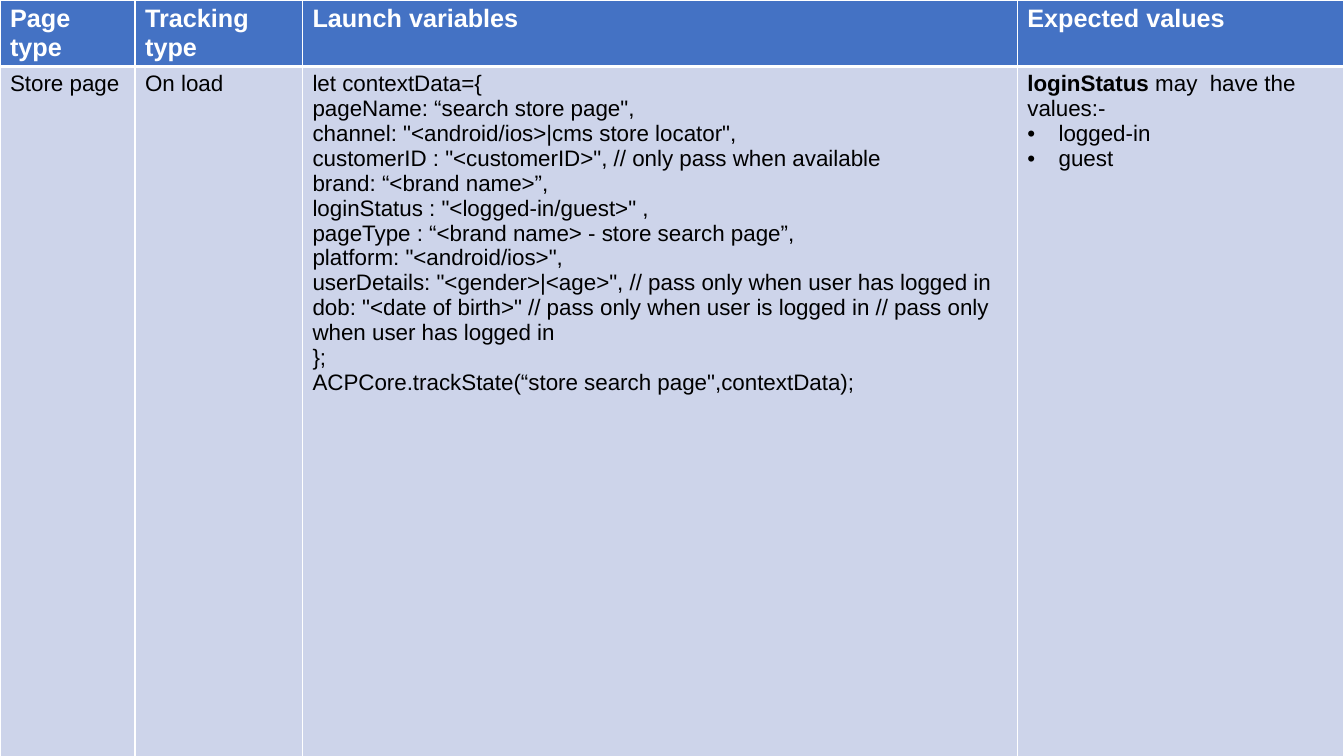
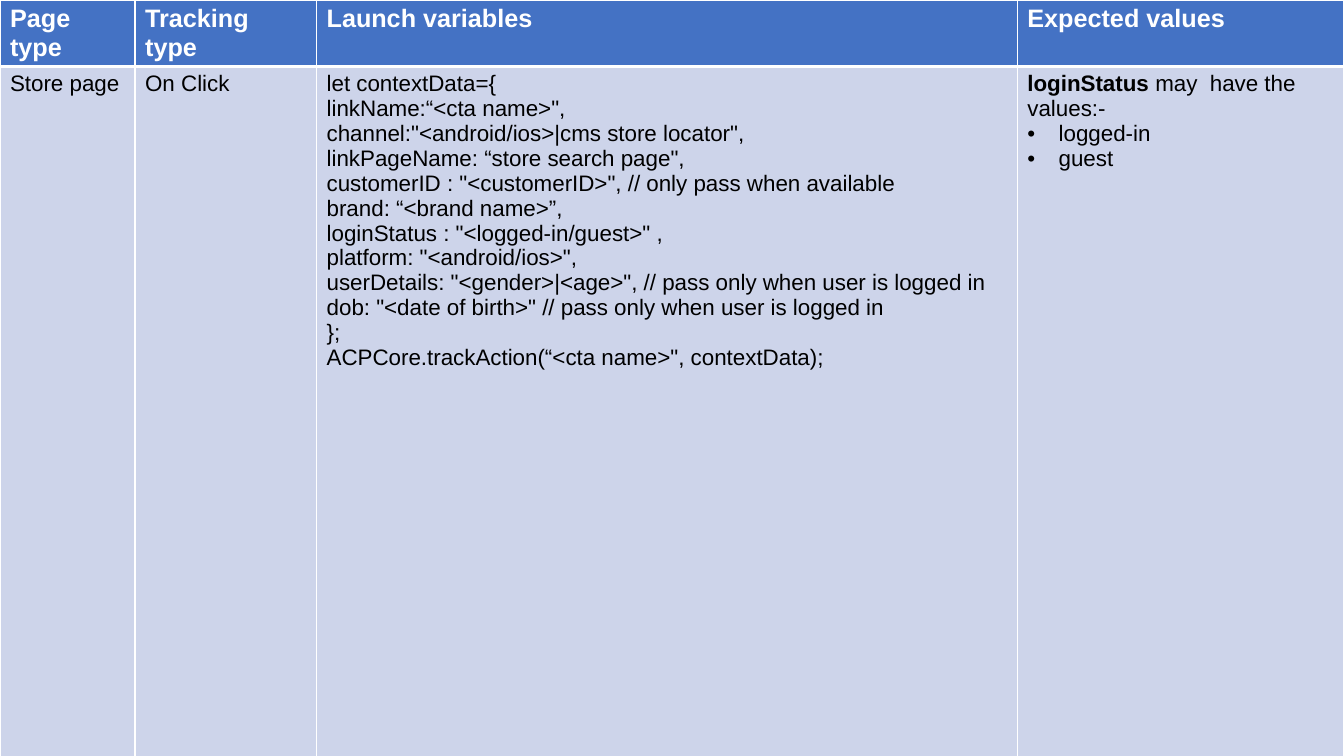
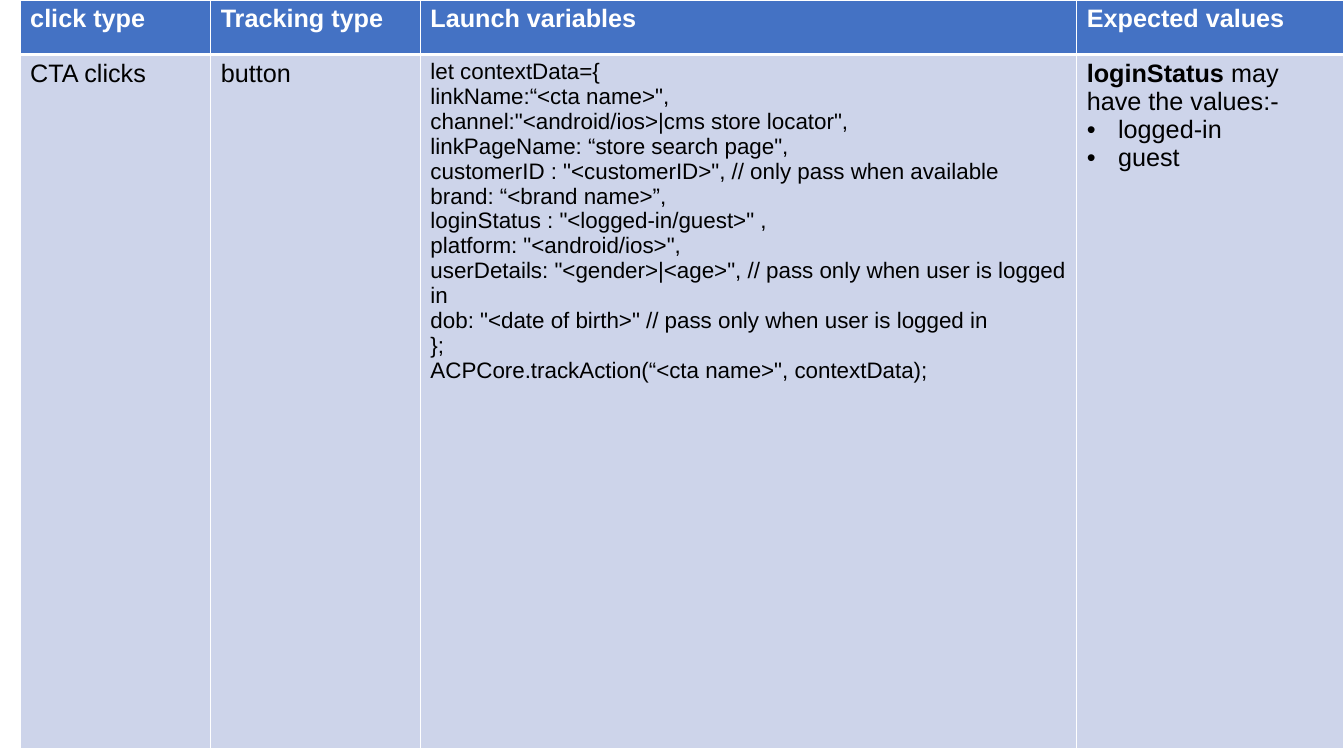
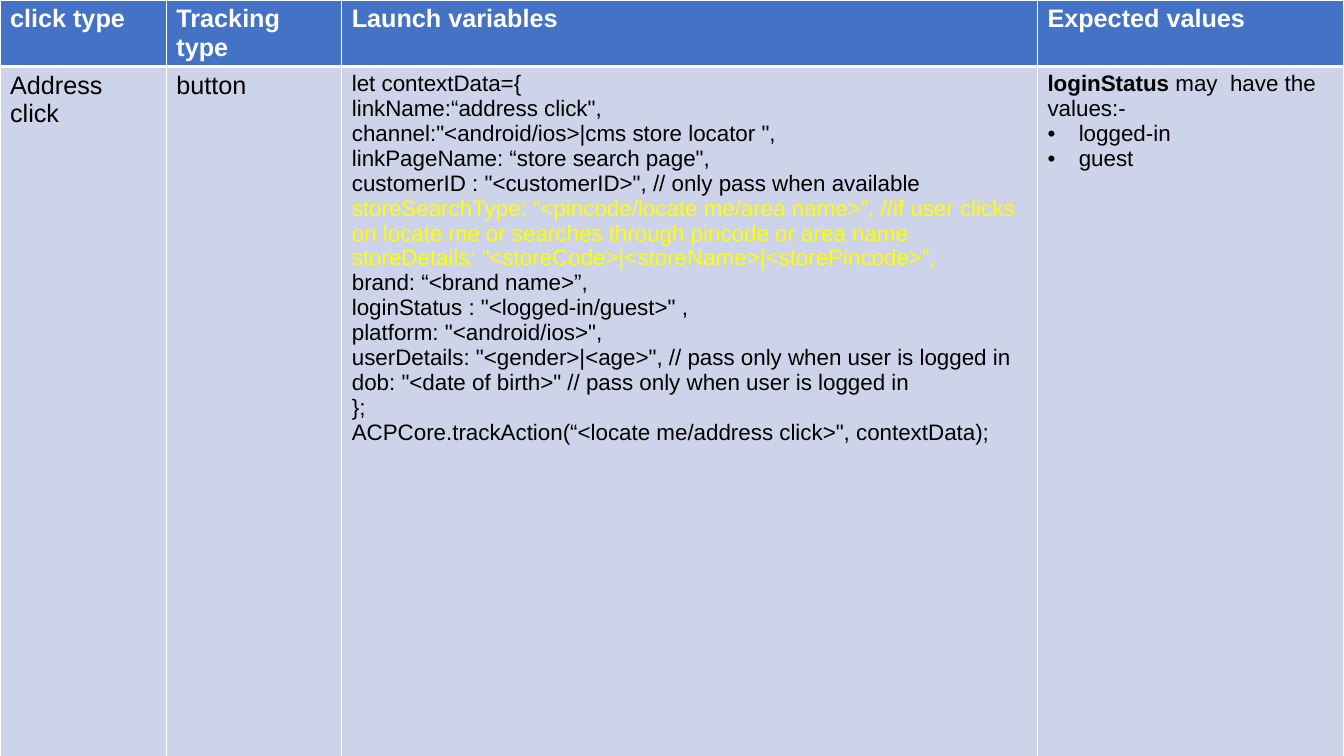
from copy import deepcopy
from dataclasses import dataclass

from lxml.etree import SubElement
from pptx import Presentation
from pptx.dml.color import RGBColor
from pptx.oxml.ns import qn
from pptx.util import Inches, Pt

FONT = "Arial"
WHITE, BLACK, YELLOW = "FFFFFF", "000000", "FFFF00"
BLUE, PALE = "4472C4", "CDD4EA"
SMALL, LARGE = 16, 18
THIN, THICK = 1, 3
INDENT = Inches(0.31)

Lines = list[tuple[str, str]]


@dataclass
class Page:
    kind: str
    item: str
    track: str
    code: Lines
    cols: tuple[float, ...]
    head: float = 0.25
    left: float = 0
    label: int = SMALL
    notes: int = SMALL


def black(*lines: str) -> Lines:
    return [(line, BLACK) for line in lines]


START = "let contextData={"
CUSTOMER = 'customerID : "<customerID>", // only pass when available'
BRAND = "brand: “<brand name>”,"
LOGIN = 'loginStatus : "<logged-in/guest>" ,'


def user(lead: str, when: str, more: str = "") -> str:
    """Join the user fields to a lead line with line breaks."""
    return "\n".join((
        lead,
        'platform: "<android/ios>",',
        f'userDetails: "<gender>|<age>", // pass only when user {when} logged in',
        f'dob: "<date of birth>" // pass only when user is logged in{more}',
    ))


def click(link: str, action: str, gap: str = "", extra: tuple[str, ...] = ()) -> Lines:
    """Give the code that tracks a click; extra lines are yellow."""
    return [
        *black(
            START,
            f'linkName:“{link}",',
            f'channel:"<android/ios>|cms store locator{gap}",',
            'linkPageName: “store search page",',
            CUSTOMER,
        ),
        *((line, YELLOW) for line in extra),
        *black(
            BRAND,
            user(LOGIN, "is"),
            "};",
            f'ACPCore.trackAction(“{action}", contextData);',
        ),
    ]


LOAD = black(
    START,
    'pageName: “search store page",',
    'channel: "<android/ios>|cms store locator",',
    CUSTOMER,
    BRAND,
    LOGIN,
    user("pageType : “<brand name> - store search page”,", "has",
         " // pass only when user has logged in"),
    "};",
    'ACPCore.trackState(“store search page",contextData);',
)
CTA = click("<cta name>", "<cta name>")
ADDRESS = click("address click", "<locate me/address click>", " ", (
    "storeSearchType: “<pincode/locate me/area name>”, //if user clicks on "
    "locate me or searches through pincode or area name",
    "storeDetails: “<storeCode>|<storeName>|<storePincode>”,",
))

PAGES = [
    Page("Page type", "Store page", "On load", LOAD, (1.34, 1.66, 7.09, 3.24)),
    Page("Page type", "Store page", "On Click", CTA, (1.34, 1.8, 6.95, 3.24)),
    Page("click type", "CTA clicks", "button", CTA, (1.89, 2.08, 6.51, 2.65),
         head=0.54, left=0.2, label=LARGE, notes=LARGE),
    Page("click type", "Address click", "button", ADDRESS, (1.65, 1.74, 6.9, 3.04),
         head=0.54, label=LARGE),
]


def rgb(code: str) -> RGBColor:
    return RGBColor.from_string(code)


def write(para, text: str, size: int = SMALL, color: str = BLACK, bold: bool = False) -> None:
    """Add text to a paragraph; newlines become line breaks of the same size."""
    for i, part in enumerate(text.split("\n")):
        if i:
            para.add_line_break()
            para._p[-1].append(deepcopy(run.font._element))
        run = para.add_run()
        run.text = part
        font = run.font
        font.name, font.size, font.bold = FONT, Pt(size), bold
        font.color.rgb = rgb(color)


def bullet(para) -> None:
    props = para._p.get_or_add_pPr()
    props.set("marL", str(INDENT))
    props.set("indent", str(-INDENT))
    tint = SubElement(props, qn("a:buClr"))
    SubElement(tint, qn("a:srgbClr"), val=BLACK)
    SubElement(props, qn("a:buFont"), typeface=FONT)
    SubElement(props, qn("a:buChar"), char="•")


def dress(cell, fill: str, top: int, base: int) -> None:
    """Set the borders and the fill of a cell."""
    props = cell._tc.get_or_add_tcPr()
    for side, width in (("L", THIN), ("R", THIN), ("T", top), ("B", base)):
        line = SubElement(props, qn(f"a:ln{side}"), w=str(Pt(width)))
        solid = SubElement(line, qn("a:solidFill"))
        SubElement(solid, qn("a:srgbClr"), val=WHITE)
    cell.fill.solid()
    cell.fill.fore_color.rgb = rgb(fill)


def fill_code(frame, lines: Lines) -> None:
    for i, (text, color) in enumerate(lines):
        para = frame.add_paragraph() if i else frame.paragraphs[0]
        write(para, text, color=color)


def fill_notes(frame, size: int) -> None:
    first = frame.paragraphs[0]
    write(first, "loginStatus ", size=size, bold=True)
    write(first, "may  have the values:-", size=size)
    for text in ("logged-in", "guest"):
        para = frame.add_paragraph()
        bullet(para)
        write(para, text, size=size)


def draw(deck, page: Page) -> None:
    slide = deck.slides.add_slide(deck.slide_layouts[6])
    rows = (page.head, 6.89)
    table = slide.shapes.add_table(
        len(rows), len(page.cols), Inches(page.left), Inches(0),
        Inches(sum(page.cols)), Inches(sum(rows))).table
    for col, width in zip(table.columns, page.cols):
        col.width = Inches(width)
    for row, height in zip(table.rows, rows):
        row.height = Inches(height)

    heads = (page.kind, "Tracking type", "Launch variables", "Expected values")
    for i, text in enumerate(heads):
        head = table.cell(0, i)
        dress(head, BLUE, THIN, THICK)
        write(head.text_frame.paragraphs[0], text, size=LARGE, color=WHITE, bold=True)
        dress(table.cell(1, i), PALE, THICK, THIN)

    item, track, code, notes = (cell.text_frame for cell in table.rows[1].cells)
    write(item.paragraphs[0], page.item, size=page.label)
    write(track.paragraphs[0], page.track, size=page.label)
    fill_code(code, page.code)
    fill_notes(notes, page.notes)


def main() -> None:
    deck = Presentation()
    deck.slide_width, deck.slide_height = Inches(13.33), Inches(7.5)
    for page in PAGES:
        draw(deck, page)
    deck.save("out.pptx")


if __name__ == "__main__":
    main()
